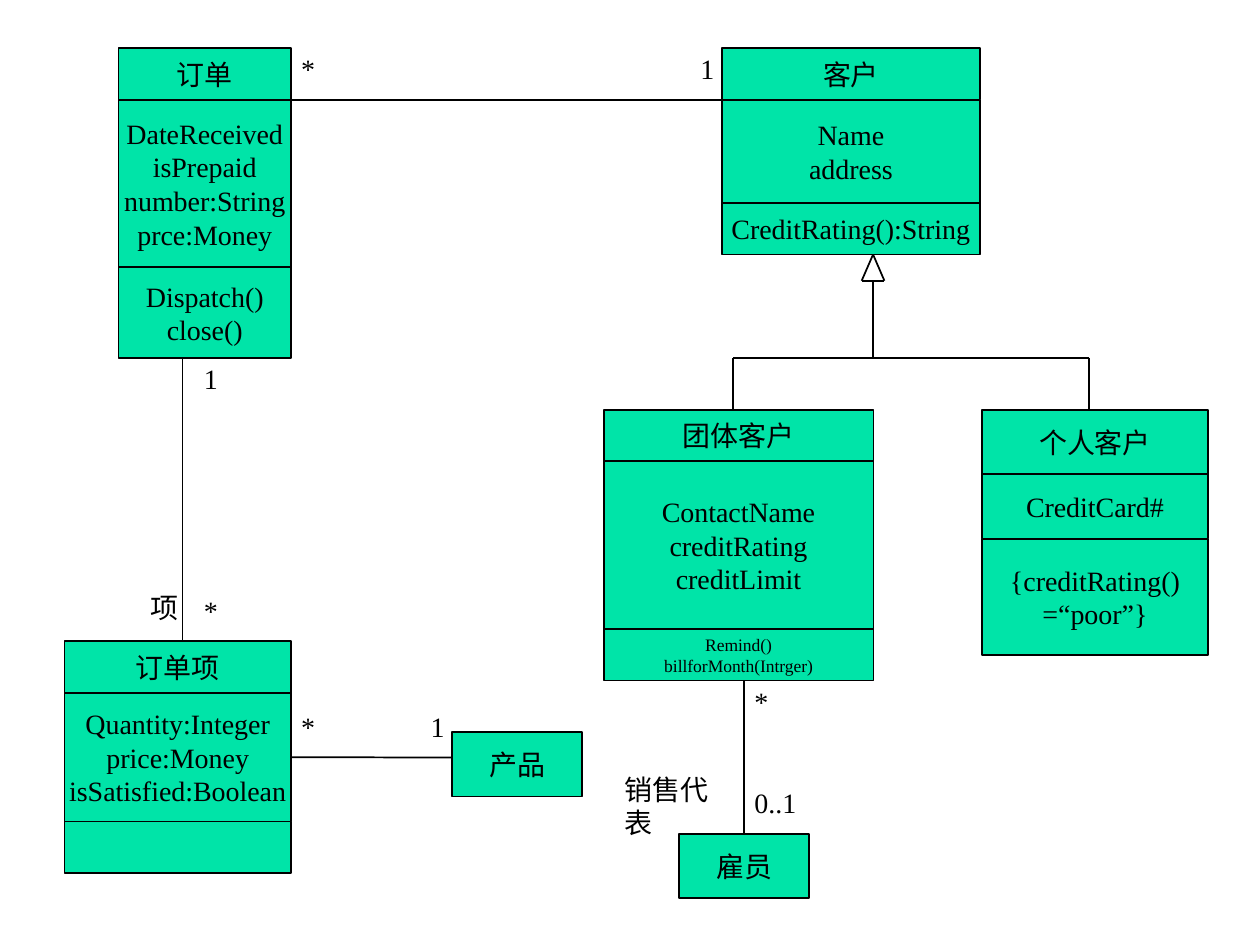
from typing import NamedTuple, Optional

import pptx
import pptx.dml.color
import pptx.enum.shapes
import pptx.enum.text
import pptx.oxml.ns
import pptx.util
from lxml import etree

Cm = pptx.util.Cm
Pt = pptx.util.Pt
PP_ALIGN = pptx.enum.text.PP_ALIGN
MSO_ANCHOR = pptx.enum.text.MSO_ANCHOR
MSO_AUTO_SIZE = pptx.enum.text.MSO_AUTO_SIZE

GREEN = pptx.dml.color.RGBColor(0x00, 0xE4, 0xA8)
BLACK = pptx.dml.color.RGBColor(0x00, 0x00, 0x00)
FONT = "Times New Roman"
TOP, LEFT, BOTTOM, RIGHT = range(4)
LABEL_HEIGHT = 0.94


class Compartment(NamedTuple):
    height: float
    lines: tuple = ()
    size: float = 16


class UmlClass(NamedTuple):
    left: float
    top: float
    width: float
    compartments: tuple


class Label(NamedTuple):
    text: str
    left: float
    top: float
    width: float = 0.79


class Join(NamedTuple):
    shape: object
    side: int


CLASSES = {
    "order": UmlClass(2.39, 0.97, 3.48, (
        Compartment(1.04, ("订单",)),
        Compartment(3.38, ("DateReceived", "isPrepaid", "number:String", "prce:Money")),
        Compartment(1.83, ("Dispatch()", "close()")))),
    "order item": UmlClass(1.3, 12.93, 4.57, (
        Compartment(1.04, ("订单项",)),
        Compartment(2.59, ("Quantity:Integer", "price:Money", "isSatisfied:Boolean")),
        Compartment(1.04))),
    "customer": UmlClass(14.55, 0.97, 5.21, (
        Compartment(1.04, ("客户",)),
        Compartment(2.08, ("Name", "address")),
        Compartment(1.04, ("CreditRating():String",)))),
    "corporate": UmlClass(12.17, 8.26, 5.44, (
        Compartment(1.04, ("团体客户",)),
        Compartment(3.38, ("ContactName", "creditRating", "creditLimit")),
        Compartment(1.04, ("Remind()", "billforMonth(Intrger)"), 10))),
    "personal": UmlClass(19.79, 8.26, 4.57, (
        Compartment(1.3, ("个人客户",)),
        Compartment(1.3, ("CreditCard#",)),
        Compartment(2.34, ("{creditRating()", "=“poor”}")))),
    "employee": UmlClass(13.69, 16.81, 2.62, (Compartment(1.3, ("雇员",)),)),
    "product": UmlClass(9.12, 14.76, 2.62, (Compartment(1.3, ("产品",)),)),
}

LABELS = (
    Label("*", 5.82, 0.91), Label("1", 13.87, 0.91),
    Label("1", 3.86, 7.16), Label("*", 3.86, 11.84), Label("项", 2.79, 11.79, 1.07),
    Label("*", 5.82, 14.17), Label("1", 8.43, 14.17),
    Label("*", 14.96, 13.67), Label("0..1", 14.96, 15.72, 1.35),
    Label("销售代表", 12.34, 15.44, 2.74),
)

# Straight links as (x1, y1, x2, y2)
ORDER_CUSTOMER = (5.87, 2.01, 14.55, 2.01)
ORDER_ITEM = (3.68, 7.22, 3.68, 12.93)
PRODUCT_ITEM = (9.12, 15.27, 5.87, 15.27)
CORPORATE_EMPLOYEE = (15, 13.72, 15, 16.81)
INHERITANCE = (
    (14.78, 8.26, 14.78, 7.21),
    (14.78, 7.21, 21.95, 7.21),
    (21.95, 7.21, 21.95, 8.26),
    (17.6, 7.21, 17.6, 5.66),
    (17.37, 5.66, 17.83, 5.66),
    (17.37, 5.66, 17.6, 5.13),
    (17.83, 5.66, 17.6, 5.13),
)


def set_all(obj, values: dict) -> None:
    for name, value in values.items():
        setattr(obj, name, value)


def write_lines(tf, lines: tuple, size: float, align) -> None:
    for i, line in enumerate(lines):
        p = tf.paragraphs[0] if i == 0 else tf.add_paragraph()
        p.alignment = align
        r = p.add_run()
        r.text = line
        set_all(r.font, {"name": FONT, "size": Pt(size)})
        r.font.color.rgb = BLACK


def draw_class(s, uml: UmlClass) -> list:
    """Stack the compartments downwards and return their rectangles."""
    rects = []
    top = uml.top
    for part in uml.compartments:
        sp = s.shapes.add_shape(pptx.enum.shapes.MSO_SHAPE.RECTANGLE, Cm(uml.left),
                                Cm(top), Cm(uml.width), Cm(part.height))
        sp.shadow.inherit = False
        sp.fill.solid()
        sp.fill.fore_color.rgb = GREEN
        sp.line.color.rgb = BLACK
        sp.line.width = Pt(1)
        set_all(sp.text_frame, {"word_wrap": False, "vertical_anchor": MSO_ANCHOR.MIDDLE})
        write_lines(sp.text_frame, part.lines, part.size, PP_ALIGN.CENTER)
        rects.append(sp)
        top += part.height
    return rects


def draw_label(s, label: Label) -> None:
    sp = s.shapes.add_textbox(Cm(label.left), Cm(label.top), Cm(label.width),
                              Cm(LABEL_HEIGHT))
    set_all(sp.text_frame, {"word_wrap": False,
                            "auto_size": MSO_AUTO_SIZE.SHAPE_TO_FIT_TEXT})
    write_lines(sp.text_frame, (label.text,), 16, PP_ALIGN.LEFT)


def draw_link(s, ends: tuple, end: Optional[Join] = None) -> None:
    link = s.shapes.add_connector(pptx.enum.shapes.MSO_CONNECTOR.STRAIGHT,
                                  *(Cm(v) for v in ends))
    link.line.color.rgb = BLACK
    link.line.width = Pt(1)
    etree.SubElement(link._element.spPr, pptx.oxml.ns.qn("a:effectLst"))
    if end:
        link.end_connect(end.shape, end.side)


def main() -> None:
    prs = pptx.Presentation()
    set_all(prs, {"slide_width": Cm(25.4), "slide_height": Cm(19.05)})
    s = prs.slides.add_slide(prs.slide_layouts[6])

    rects = {name: draw_class(s, uml) for name, uml in CLASSES.items()}
    draw_link(s, ORDER_CUSTOMER)
    draw_link(s, ORDER_ITEM)
    draw_link(s, PRODUCT_ITEM, Join(rects["order item"][1], RIGHT))
    draw_link(s, CORPORATE_EMPLOYEE, Join(rects["employee"][0], TOP))
    for ends in INHERITANCE:
        draw_link(s, ends)
    for label in LABELS:
        draw_label(s, label)

    prs.save("out.pptx")


if __name__ == "__main__":
    main()
